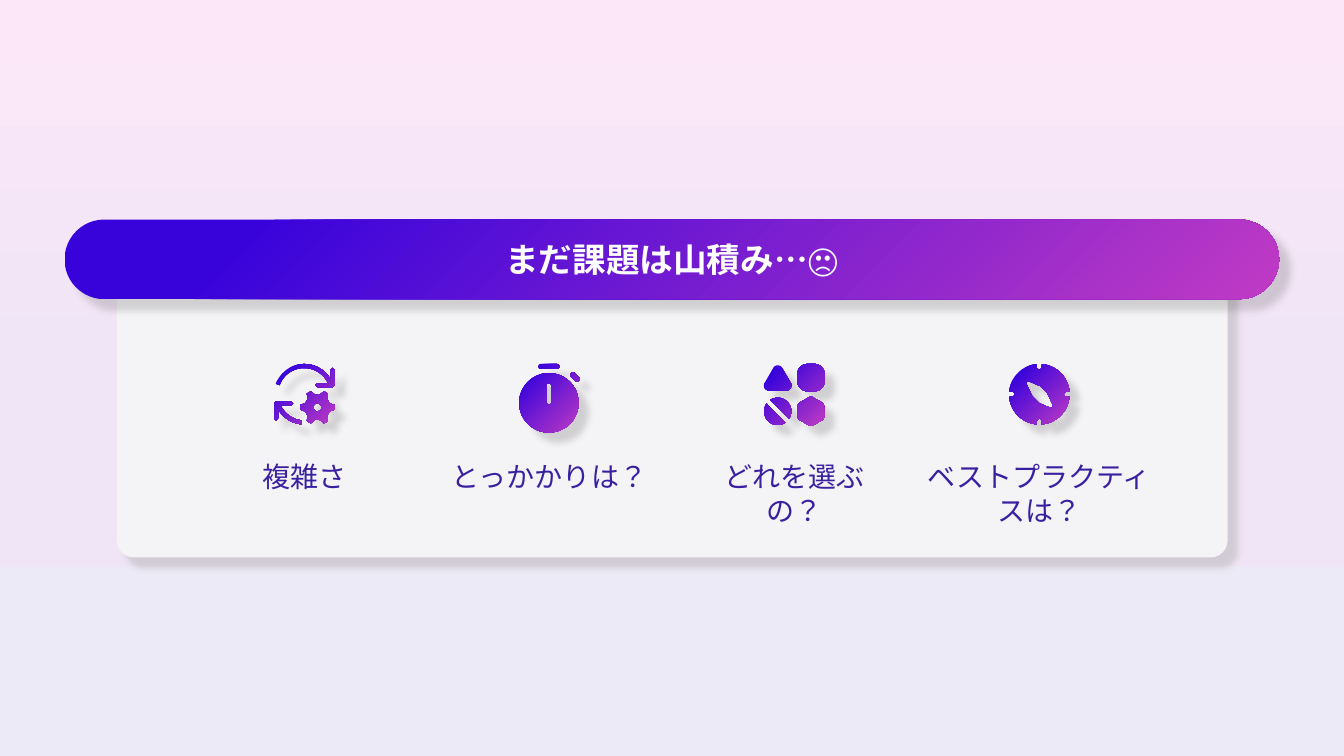
import math
import pptx
import pptx.dml.color
import pptx.enum.lang
import pptx.enum.shapes
import pptx.enum.text
import pptx.oxml
import pptx.oxml.ns
import pptx.util
from lxml import etree

Pt = pptx.util.Pt
RGBColor = pptx.dml.color.RGBColor
CENTER = pptx.enum.text.PP_ALIGN.CENTER
ROUNDED = pptx.enum.shapes.MSO_SHAPE.ROUNDED_RECTANGLE
PINK = RGBColor(0xC0, 0x3B, 0xC4)
BLUE = RGBColor(0x38, 0x03, 0xDB)
INK = RGBColor(0x3A, 0x20, 0xA0)
PALE = RGBColor(0xF4, 0xF3, 0xF5)
WHITE = RGBColor(0xFF, 0xFF, 0xFF)
DARK = RGBColor(0x45, 0x41, 0x42)
GREY = RGBColor(0xB1, 0xB3, 0xB3)
ROSE = RGBColor(0xFC, 0xE7, 0xF8)
LILAC = RGBColor(0xF0, 0xE5, 0xF6)
MIST = RGBColor(0xED, 0xEA, 0xF7)
FONT = "Noto Sans CJK JP"
NS = pptx.oxml.ns.nsdecls("a")
DOWN = '<a:lin ang="5400000" scaled="0"/>'
RADIAL = '<a:path path="circle"><a:fillToRect l="100000" t="100000"/></a:path>'
UNIT = 72
PITCH = 175


def blend(stops, kind):
    marks = "".join(f'<a:gs pos="{pos * 1000}"><a:srgbClr val="{tone}"/></a:gs>' for pos, tone in stops)
    return pptx.oxml.parse_xml(f'<a:gradFill {NS} rotWithShape="1"><a:gsLst>{marks}</a:gsLst>{kind}</a:gradFill>')


def arc(x, y, size, start, end):
    steps = max(1, round(abs(end - start) / 6))
    turns = [math.radians(start + (end - start) * i / steps) for i in range(steps + 1)]
    return [(x + size * math.cos(turn), y + size * math.sin(turn)) for turn in turns]


deck = pptx.Presentation()
deck.slide_width, deck.slide_height = Pt(960), Pt(540)
slide = deck.slides.add_slide(deck.slide_layouts[5])
shapes = slide.shapes
slide.background.fill.solid()
back = slide.element.xpath("p:cSld/p:bg/p:bgPr")[0]
back.replace(back[0], blend([(0, ROSE), (50, LILAC), (100, MIST)], DOWN))

card = shapes.add_shape(ROUNDED, Pt(83.5), Pt(187.2), Pt(793.4), Pt(211))
card.adjustments[0] = 0.058
card.fill.solid()
card.fill.fore_color.rgb = PALE

head = [(56, 6), (58, 4), (60, 6), (60, 21), (58, 23), (43, 23), (41, 21), (43, 19), (54, 19)]
upper, lower = [arc(30, 30, 30, tail, 330) + head + arc(30, 30, 26, 335, tail) for tail in (200, 276)]
lower = [(60 - x, 60 - y) for x, y in lower]
gear = []
for turn in range(0, 360, 60):
    gear += arc(43, 43, 17, turn - 8, turn + 8) + arc(43, 43, 12.5, turn + 20, turn + 40)
cycle = [upper, lower, gear, arc(43, 43, 4, 0, 360)]

timer = [arc(29.5, 38.5, 29.5, 0, 360)]
bars = [(29.5, 21.5, 29.5, 37.5, 2.5, 90), (21.5, 2.5, 37.5, 2.5, 2.5, 0), (53.5, 11, 57.5, 15, 2.7, 45)]
for left, top, right, base, size, lean in bars:
    timer.append(arc(left, top, size, lean + 90, lean + 270) + arc(right, base, size, lean - 90, lean + 90))

forms = [arc(13.5, 47, 13.5, 236, 394), arc(13.5, 47, 13.5, 56, 215)]
tiles = [(13.5, 16.3, 3, 10, 5), (46.5, 13.5, 4, 5, 10), (46.5, 47, 6, 10.5, 4)]
for x, y, sides, reach, size in tiles:
    half = 180 / sides
    first = -45 if sides == 4 else -90
    tile = []
    for side in range(sides):
        turn = first + 2 * half * side
        hub = arc(x, y, reach, turn, turn)[0]
        tile += arc(*hub, size, turn - half, turn + half)
    forms.append(tile)

dial = []
for turn in range(0, 360, 90):
    dial += arc(30, 30, 30, turn + 5, turn + 85)
    for size, lean in [(26, 85), (24, 90), (26, 95)]:
        dial += arc(30, 30, size, turn + lean, turn + lean)
blade = [(38, 29), (31, 22), (19, 17), (17, 19)]
guide = [dial, blade + [(61 - x, 61 - y) for x, y in blade]]

items = [("複雑さ", 144, cycle), ("とっかかりは？", 173.5, timer),
         ("どれを選ぶの？", 144, forms), ("ベストプラクティスは？", 188.6, guide)]
texts = []
icons = []
for i, (label, width, rings) in enumerate(items):
    box = shapes.add_textbox(Pt(217.4 + PITCH * i - width / 2), Pt(324.7), Pt(width), Pt(31.7))
    box.text_frame.word_wrap = True
    box.text_frame.text = label
    texts.append((box, 20, INK, False))
    pen = shapes.build_freeform(UNIT * rings[0][0][0], UNIT * rings[0][0][1], scale=Pt(0.01))
    for ring in rings:
        spots = [(UNIT * x, UNIT * y) for x, y in ring]
        if ring is not rings[0]:
            pen.move_to(*spots[0])
        pen.add_line_segments(spots[1:], close=True)
    icons.append(pen.convert_to_shape(Pt(195.8 + PITCH * i), Pt(260)))

pill = shapes.add_shape(ROUNDED, Pt(46.1), Pt(156.8), Pt(867.6), Pt(56.9))
pill.adjustments[0] = 0.5
title = shapes.title
shapes.element.append(title.element)
title.left, title.top, title.width, title.height = pill.left, pill.top, pill.width, pill.height
frame = title.text_frame
frame.text = "まだ課題は山積み…🙁"
frame.auto_size = pptx.enum.text.MSO_AUTO_SIZE.NONE
frame.vertical_anchor = pptx.enum.text.MSO_ANCHOR.MIDDLE
frame.margin_left = frame.margin_right = frame.margin_top = frame.margin_bottom = 0
texts.append((title, 24, WHITE, True))

for shape in [card, *icons, pill]:
    tone, alpha = (GREY, 50) if shape is card else (DARK, 20)
    if shape is not card:
        shape.element.spPr.append(blend([(0, PINK), (85, BLUE)], RADIAL))
    shape.line.fill.background()
    shape.element.spPr.append(pptx.oxml.parse_xml(
        f'<a:effectLst {NS}><a:outerShdw blurRad="{Pt(5)}" dist="{Pt(10)}" dir="2700000" algn="tl" rotWithShape="0">'
        f'<a:srgbClr val="{tone}"><a:alpha val="{alpha * 1000}"/></a:srgbClr></a:outerShdw></a:effectLst>'))

for shape, size, tone, bold in texts:
    para = shape.text_frame.paragraphs[0]
    para.alignment = CENTER
    font = para.runs[0].font
    font.size = Pt(size)
    font.bold = bold
    font.color.rgb = tone
    font.name = FONT
    font.language_id = pptx.enum.lang.MSO_LANGUAGE_ID.JAPANESE
    east = etree.SubElement(shape.element.xpath(".//a:rPr")[0], pptx.oxml.ns.qn("a:ea"))
    east.set("typeface", FONT)

deck.save("out.pptx")
